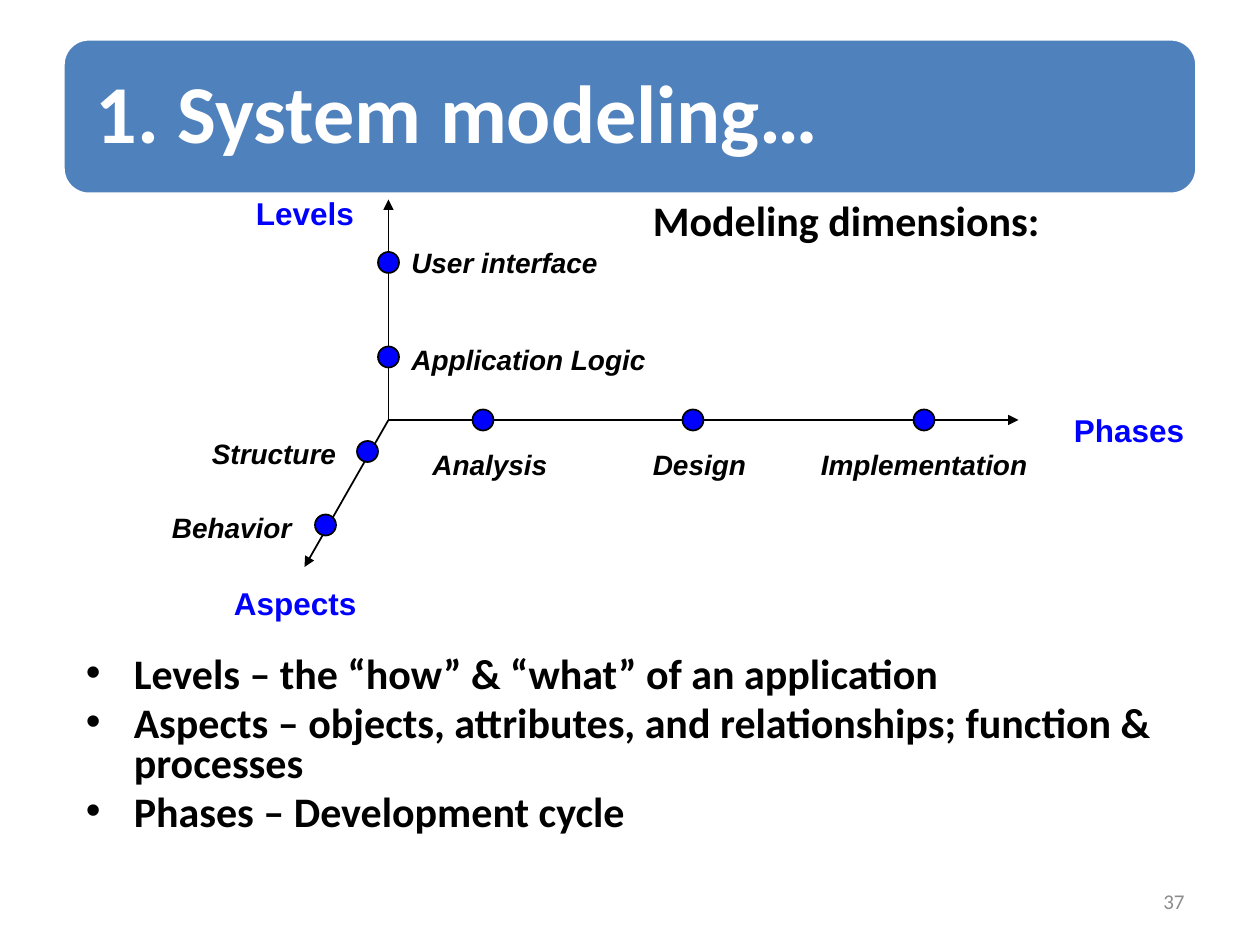
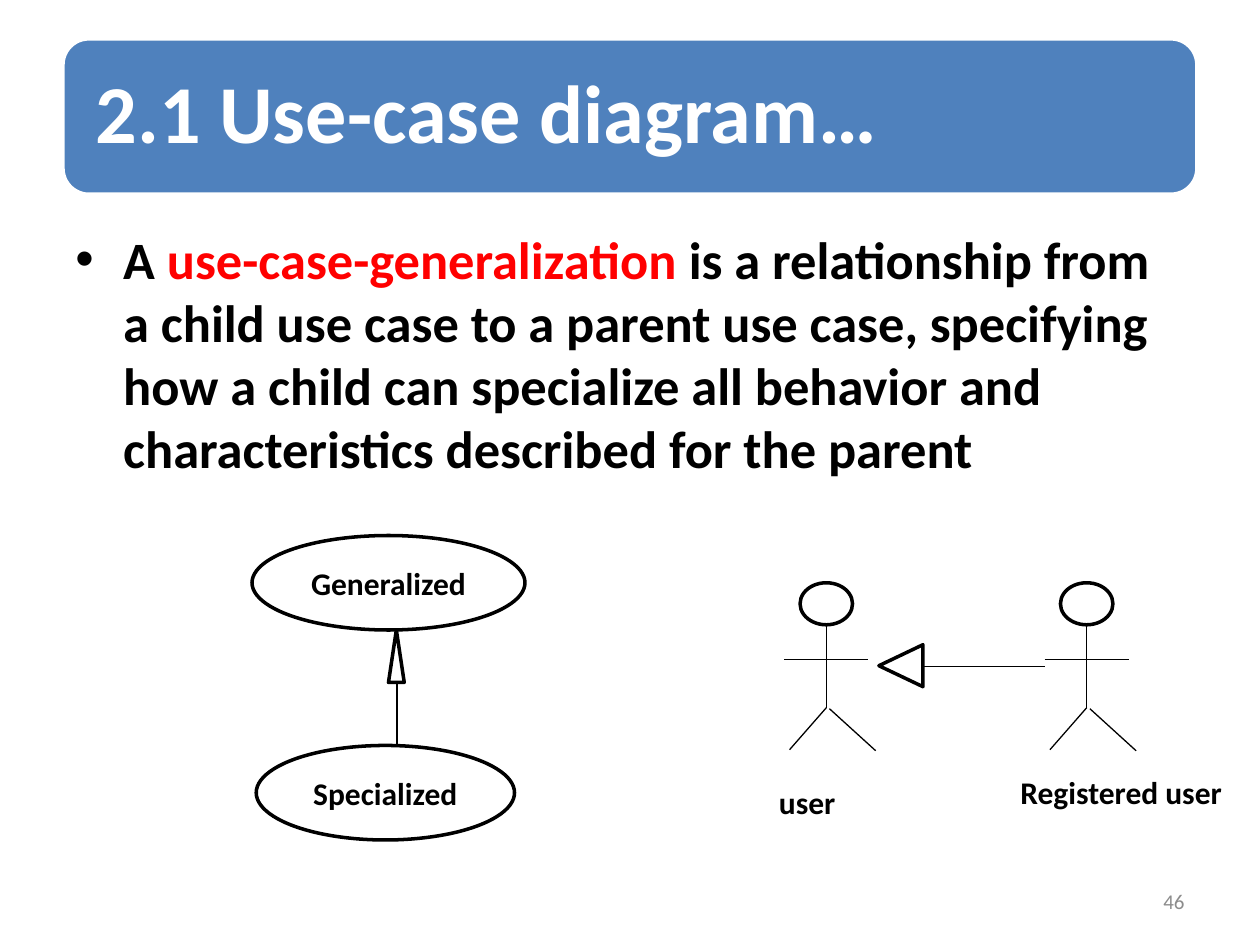
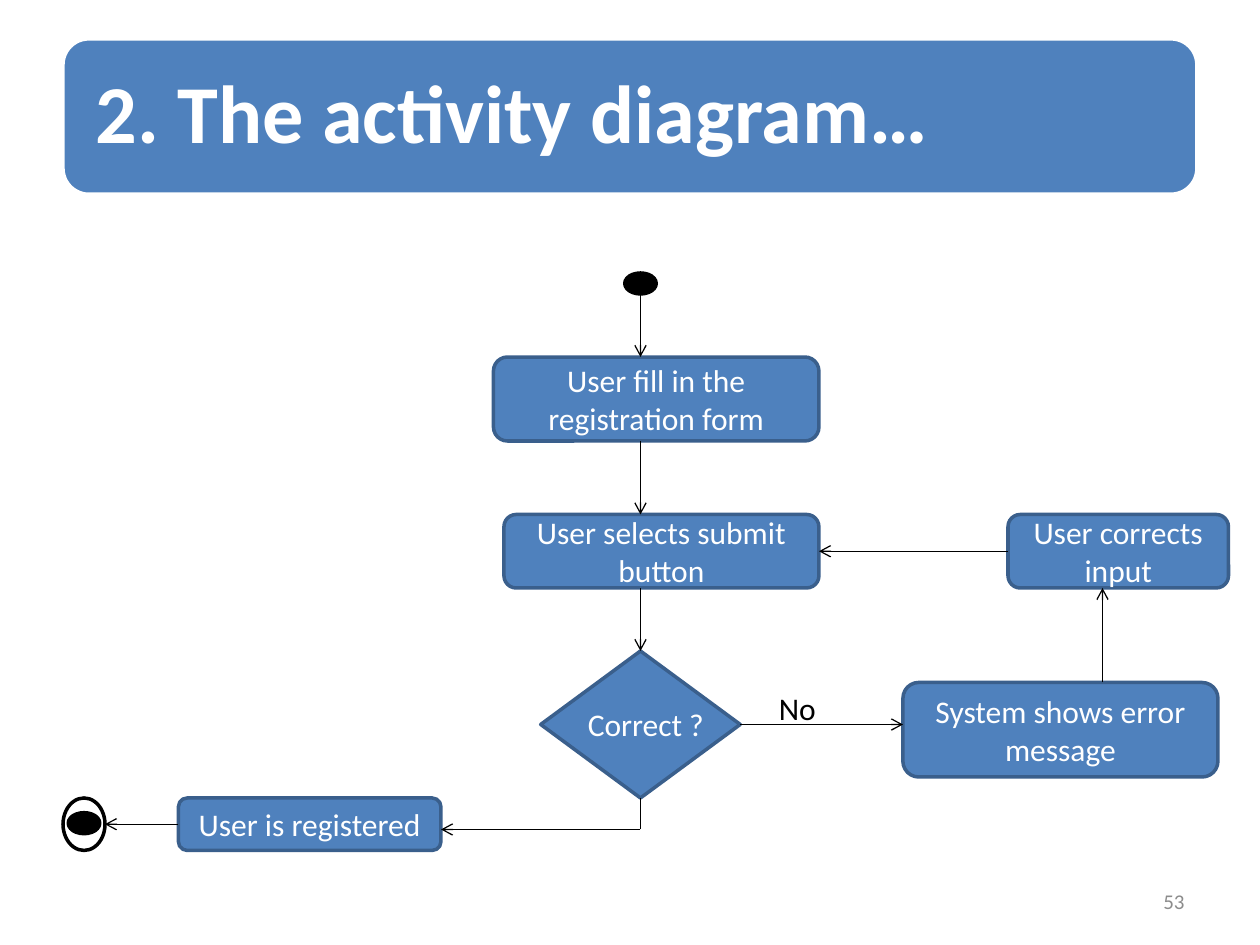
from dataclasses import dataclass

from lxml.etree import SubElement
from pptx import Presentation
from pptx.dml.color import RGBColor as Color
from pptx.enum.shapes import MSO_CONNECTOR as Link, MSO_SHAPE as Shape
from pptx.enum.text import MSO_ANCHOR as Anchor, MSO_AUTO_SIZE as Fit, PP_ALIGN as Align
from pptx.oxml.ns import qn
from pptx.util import Inches, Pt


@dataclass(frozen=True)
class Theme:
    """Colours, fonts, type sizes and line widths of the deck."""
    ink: str = "000000"
    paper: str = "FFFFFF"
    band: str = "4F81BD"
    edge: str = "3A5F8C"
    axis: str = "0000FF"
    accent: str = "FF0000"
    muted: str = "8C8C8C"
    font: str = "Calibri"
    label_font: str = "Arial"
    title: int = 47
    lead: int = 30
    body: int = 24
    text: int = 18
    label: int = 16
    number: int = 12
    thin: float = 0.75
    medium: float = 1
    thick: float = 2


THEME = Theme()
COLUMNS, ROWS = 120, 90
CENTER, MIDDLE = Align.CENTER, Anchor.MIDDLE


def write(frame, text, size=THEME.text, color=THEME.ink, font=THEME.font, bold=False,
          italic=False, align=None, anchor=Anchor.TOP, wrap=True, grow=False, inset=None,
          leading=None, before=None, bullet=None):
    """Fill a text frame with a string or a list of paragraphs, each a string or (text, colour) spans."""
    frame.word_wrap = wrap
    frame.vertical_anchor = anchor
    frame.auto_size = Fit.SHAPE_TO_FIT_TEXT if grow else Fit.NONE
    if inset is not None:
        frame.margin_left = frame.margin_right = Inches(inset)
        frame.margin_top = frame.margin_bottom = Inches(inset)
    for index, spans in enumerate([text] if isinstance(text, str) else text):
        para = frame.add_paragraph() if index else frame.paragraphs[0]
        para.alignment = align
        para.line_spacing = leading
        if before is not None:
            para.space_before = Pt(size * before)
        if bullet:
            props = para._p.get_or_add_pPr()
            props.set("marL", str(Inches(0.38)))
            props.set("indent", str(-Inches(0.38)))
            SubElement(props, qn("a:buFont"), typeface=THEME.label_font)
            SubElement(props, qn("a:buChar"), char=bullet)
        for words, tint in [(spans, color)] if isinstance(spans, str) else spans:
            span = para.add_run()
            span.text = words
            span.font.name, span.font.size = font, Pt(size)
            span.font.bold, span.font.italic = bold, italic
            span.font.color.rgb = Color.from_string(tint)


class Deck:
    """Draws elements on the current page, placed in grid columns and rows."""

    def __init__(self, theme):
        """Start an empty deck of ten by seven and a half inches."""
        self.theme = theme
        self.show = Presentation()
        self.show.slide_width, self.show.slide_height = Inches(10), Inches(7.5)
        self.page = None

    def x(self, columns):
        """Convert columns to a length."""
        return round(self.show.slide_width * columns / COLUMNS)

    def y(self, rows):
        """Convert rows to a length."""
        return round(self.show.slide_height * rows / ROWS)

    def area(self, left, top, width, height):
        """Convert a grid area to lengths."""
        return self.x(left), self.y(top), self.x(width), self.y(height)

    def new_page(self, title, number):
        """Add a page with its title band and number."""
        self.page = self.show.slides.add_slide(self.show.slide_layouts[6])
        self.shape(Shape.ROUNDED_RECTANGLE, (6, 3.7, 108, 14.8), self.theme.band, self.theme.paper)
        self.text((6.7, 4.5, 106.6, 13.3), title, size=self.theme.title, color=self.theme.paper,
                  bold=True, anchor=MIDDLE, inset=0.2, leading=0.9)
        self.text((86, 83.4, 28, 4.8), str(number), size=self.theme.number,
                  color=self.theme.muted, align=Align.RIGHT, anchor=MIDDLE)

    def text(self, area, text, **style):
        """Add a text box."""
        box = self.page.shapes.add_textbox(*self.area(*area))
        write(box.text_frame, text, **style)

    def shape(self, kind, area, fill, line, width=THEME.thick, turn=0, text=None, **style):
        """Add a filled preset shape, with centred text if given."""
        shape = self.page.shapes.add_shape(kind, *self.area(*area))
        shape.shadow.inherit = False
        shape.rotation = turn
        shape.fill.solid()
        shape.fill.fore_color.rgb = Color.from_string(fill)
        shape.line.color.rgb = Color.from_string(line)
        shape.line.width = Pt(width)
        if text:
            write(shape.text_frame, text, align=CENTER, anchor=MIDDLE, **style)

    def line(self, start, end, head=None, width=THEME.thin):
        """Add a straight line, with an arrowhead at its end if named."""
        link = self.page.shapes.add_connector(
            Link.STRAIGHT, self.x(start[0]), self.y(start[1]), self.x(end[0]), self.y(end[1]))
        link.line.color.rgb = Color.from_string(self.theme.ink)
        link.line.width = Pt(width)
        props = link._element.spPr
        if head:
            SubElement(props.find(qn("a:ln")), qn("a:tailEnd"), type=head)
        SubElement(props, qn("a:effectLst"))

    def outline(self, kind, area, **style):
        """Add a white shape with a black outline."""
        self.shape(kind, area, self.theme.paper, self.theme.ink, **style)

    def spot(self, area):
        """Add a solid black oval."""
        self.shape(Shape.OVAL, area, self.theme.ink, self.theme.ink)

    def step(self, area, text=None, kind=Shape.ROUNDED_RECTANGLE):
        """Add an activity node."""
        self.shape(kind, area, self.theme.band, self.theme.edge, text=text, color=self.theme.paper)

    def actor(self, center):
        """Add a stick figure."""
        self.outline(Shape.OVAL, (center - 2.5, 55.5, 5, 4))
        for start, end in (((0, 59.5), (0, 67.4)), ((0, 67.4), (-3.5, 71.4)),
                           ((0.3, 67.5), (4.7, 71.5)), ((-4, 62.8), (4, 62.8))):
            self.line((center + start[0], start[1]), (center + end[0], end[1]))


def modeling_page(deck):
    """Draw the three modeling dimensions."""
    theme = deck.theme
    deck.new_page("1. System modeling…", 37)
    deck.text((7, 62, 104, 21), [
        "Levels – the “how” & “what” of an application",
        "Aspects – objects, attributes, and relationships; function & processes",
        "Phases – Development cycle",
    ], size=theme.body, bold=True, leading=0.8, before=0.2, bullet="•")
    for end in ((37, 19), (29, 54), (97, 40)):
        deck.line((37, 40), end, "triangle", theme.medium)
    for x, y in ((37, 25), (37, 34), (46, 40), (66, 40), (88, 40), (35, 43), (31, 50)):
        deck.shape(Shape.OVAL, (x - 1, y - 1, 2, 2), theme.axis, theme.ink, theme.medium)
    label = dict(font=theme.label_font, bold=True, wrap=False, grow=True)
    for left, top, width, name in (
            (38, 22.8, 20.2, "User interface"), (38, 32, 24.8, "Application Logic"),
            (40, 42, 13.3, "Analysis"), (61, 42, 11.3, "Design"),
            (77, 42, 22.2, "Implementation"), (19, 41, 14.3, "Structure"),
            (15.2, 48, 13.8, "Behavior")):
        deck.text((left, top, width, 4.4), name, size=theme.label, italic=True, **label)
    for left, top, width, name in ((101.1, 38.6, 13.2, "Phases"), (23.2, 17.9, 12, "Levels"),
                                   (21.1, 55, 14.6, "Aspects")):
        deck.text((left, top, width, 4.8), name, color=theme.axis, **label)
    deck.text((61, 17.9, 42.8, 6), "Modeling dimensions:", size=theme.body, bold=True, grow=True)


def use_case_page(deck):
    """Draw generalization between use cases and between actors."""
    theme = deck.theme
    deck.new_page("2.1 Use-case diagram…", 46)
    deck.text((6, 21, 108, 59.4), [[
        ("A ", theme.ink), ("use-case-generalization ", theme.accent),
        ("is a relationship from a child use case to a parent use case, specifying how a child "
         "can specialize all behavior and characteristics described for the parent", theme.ink),
    ]], size=theme.lead, bold=True, before=0.2, bullet="•")
    deck.outline(Shape.OVAL, (24, 51, 26, 9), text="Generalized", bold=True)
    deck.outline(Shape.ISOSCELES_TRIANGLE, (37, 60, 1.5, 5))
    deck.line((37.8, 65), (37.8, 71))
    deck.outline(Shape.OVAL, (24.4, 71, 24.6, 9), text="Specialized", bold=True)
    for center in (78.7, 103.5):
        deck.actor(center)
    deck.outline(Shape.ISOSCELES_TRIANGLE, (83.8, 61.3, 4, 4.2), turn=270)
    deck.line((88, 63.5), (99.5, 63.5))
    deck.text((73, 74, 12.8, 4.8), "user", bold=True, grow=True)
    deck.text((96, 73, 22, 4.8), "Registered user", bold=True, grow=True)


def activity_page(deck):
    """Draw the registration flow."""
    deck.new_page("2. The activity diagram…", 53)
    deck.step((47, 34, 31, 8), "User fill in the registration form")
    deck.step((48, 49, 30, 7), "User selects submit button")
    deck.step((51.5, 62, 19, 14), kind=Shape.FLOWCHART_DECISION)
    deck.step((86, 65, 30, 9), "System shows error message")
    deck.step((96, 49, 21, 7), "User corrects input")
    deck.step((17, 76, 25, 5), "User is registered")
    deck.text((54.8, 66.6, 14, 4.8), "Correct ?", color=deck.theme.paper, grow=True)
    deck.text((73, 65, 9, 4.8), "No", grow=True)
    for start, end in (((61, 27.7), (61, 34)), ((61, 42), (61, 49)), ((61, 56), (61, 62)),
                       ((70.5, 69), (86, 69)), ((105, 65), (105, 56)),
                       ((96, 52.5), (78, 52.5)), ((61, 79), (42, 79)),
                       ((17, 78.5), (10, 78.5))):
        deck.line(start, end, "arrow")
    deck.line((61, 76), (61, 79))
    deck.outline(Shape.OVAL, (6, 76, 4, 5))
    deck.spot((6.5, 77.4, 3, 2))
    deck.spot((59.5, 26, 3, 2))


def main():
    """Build and save the deck."""
    deck = Deck(THEME)
    for draw in (modeling_page, use_case_page, activity_page):
        draw(deck)
    deck.show.save("out.pptx")


if __name__ == "__main__":
    main()
